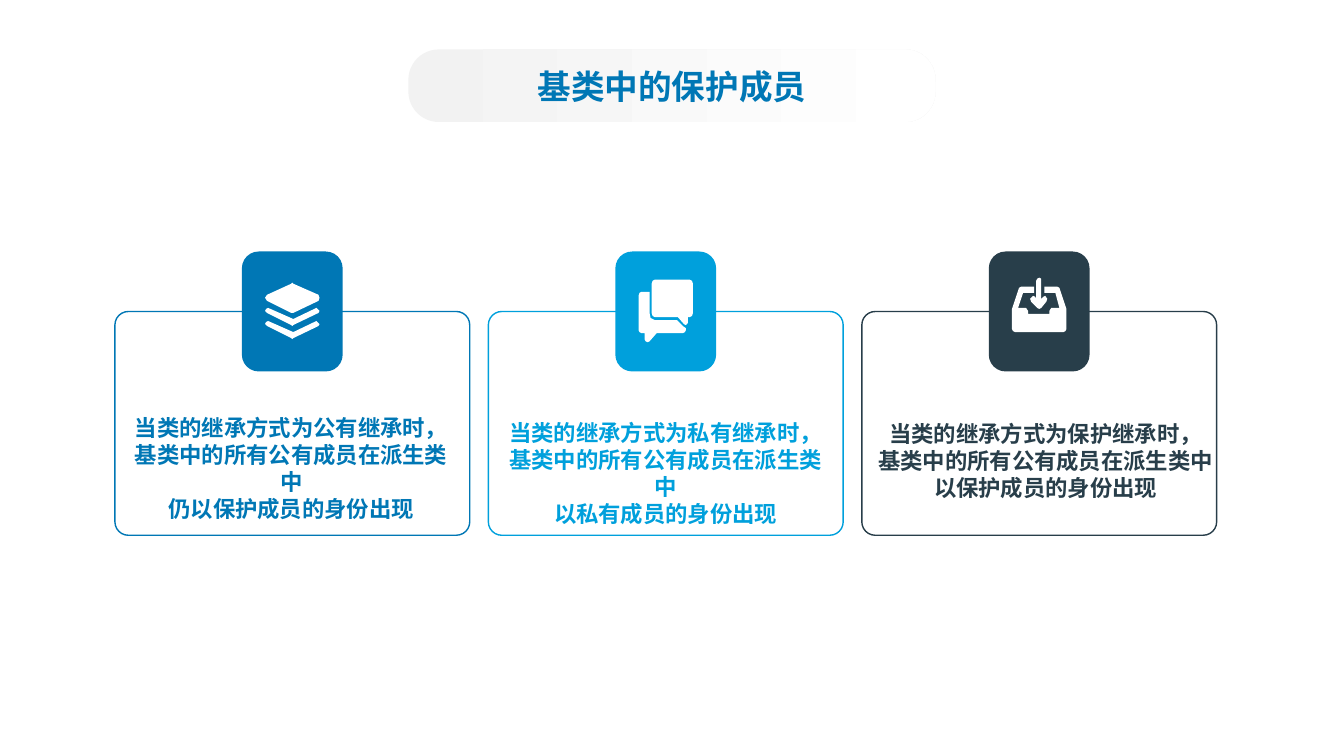
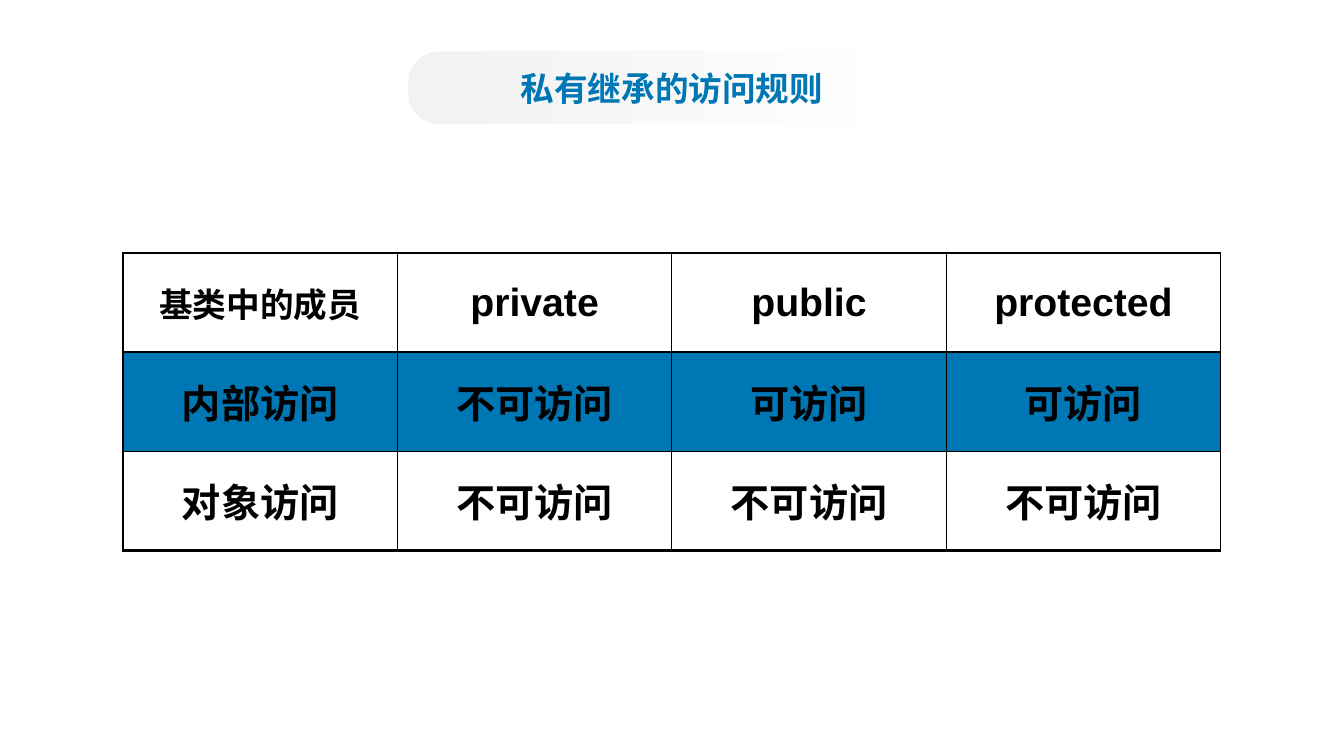
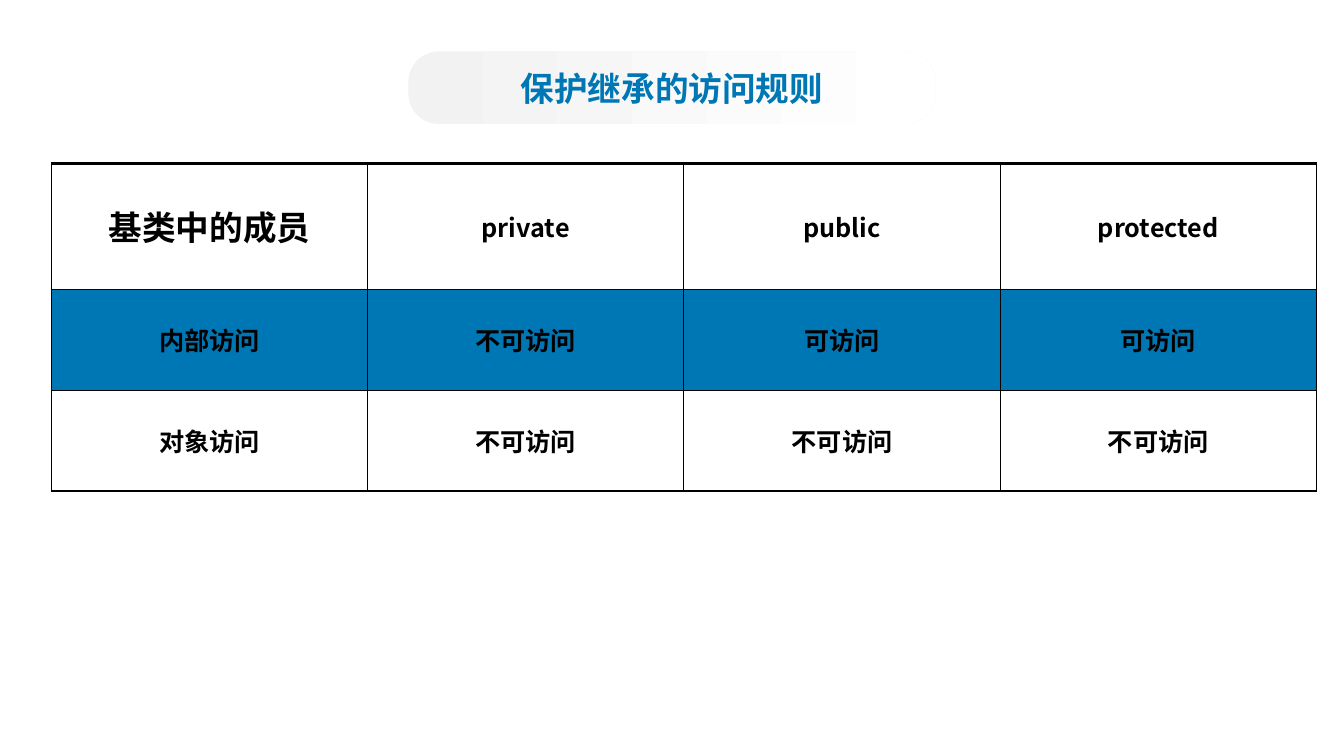
from dataclasses import dataclass

from lxml import etree
from pptx import Presentation
from pptx.dml.color import RGBColor
from pptx.enum.shapes import MSO_SHAPE
from pptx.enum.text import MSO_ANCHOR, PP_ALIGN
from pptx.oxml.ns import qn
from pptx.util import Inches, Pt

ROUNDED = MSO_SHAPE.ROUNDED_RECTANGLE
CENTER = PP_ALIGN.CENTER
TOP = MSO_ANCHOR.TOP
MIDDLE = MSO_ANCHOR.MIDDLE

COLUMNS, ROWS = 160, 90
UNIT = Inches(7.5) / ROWS
ICON_UNIT = 0.12
CJK_FONT = "Noto Sans CJK SC"
LATIN_FONT = "Arial"
COLORS = {
    "blue": "0077B5",
    "sky": "00A0DC",
    "slate": "283E4A",
    "black": "000000",
    "white": "FFFFFF",
    "band": "F2F2F2",
}


@dataclass
class Box:
    left: float
    top: float
    width: float
    height: float

    def inner(self, left, top, width, height):
        return Box(self.left + left, self.top + top, width, height)

    def emu(self):
        return [round(value * UNIT) for value in (self.left, self.top, self.width, self.height)]


def chevron(top):
    return [(3, top), (28, top + 11), (51, top), (54, top + 3), (53, top + 5), (28, top + 17),
            (27, top + 18), (26, top + 17), (2, top + 5), (0, top + 3), (1, top + 1)]


ICONS = {
    "layers": [
        [(53, 18), (28, 30), (26, 30), (2, 18), (0, 15), (2, 12), (26, 1), (27, 0),
         (28, 1), (53, 12), (54, 15)],
        chevron(25),
        chevron(38),
    ],
    "chat": [
        [(51, 37), (49, 37), (49, 43), (47, 45), (45, 44), (39, 37), (16, 37), (14, 36),
         (13, 33), (13, 4), (14, 1), (16, 0), (51, 0), (53, 1), (54, 4), (54, 33), (53, 36)],
        [(38, 40), (44, 46), (47, 48), (47, 50), (46, 52), (44, 53), (18, 53), (11, 61),
         (9, 62), (7, 61), (6, 59), (6, 53), (3, 53), (1, 52), (0, 50), (0, 16), (1, 13),
         (3, 12), (11, 12), (11, 33), (12, 38), (16, 40)],
    ],
    "inbox": [
        [(51, 54), (3, 54), (1, 53), (0, 51), (0, 31), (7, 10), (9, 9), (22, 9), (22, 15),
         (11, 15), (6, 30), (14, 30), (16, 33), (16, 36), (37, 36), (37, 33), (39, 30),
         (47, 30), (43, 15), (32, 15), (32, 9), (45, 9), (47, 10), (54, 31), (54, 51), (53, 53)],
        [(35, 21), (34, 24), (29, 30), (27, 31), (25, 30), (19, 24), (18, 21), (21, 18),
         (23, 19), (24, 21), (24, 3), (25, 1), (27, 0), (29, 1), (29, 21), (31, 19), (33, 18)],
    ],
}

CARDS = [
    {"color": "blue", "icon": "layers", "icon_top": 3.72, "text_box": (1.8, 12.24, 38.4, 13),
     "lines": ["当类的继承方式为公有继承时，", "基类中的所有公有成员在派生类中", "仍以保护成员的身份出现"]},
    {"color": "sky", "icon": "chat", "icon_top": 3.36, "text_box": (1.92, 12.84, 38.4, 13),
     "lines": ["当类的继承方式为私有继承时，", "基类中的所有公有成员在派生类中", "以私有成员的身份出现"]},
    {"color": "slate", "icon": "inbox", "icon_top": 3.12, "text_box": (1.92, 12.96, 39.96, 13),
     "lines": ["当类的继承方式为保护继承时，", "基类中的所有公有成员在派生类中", "以保护成员的身份出现"]},
]

ACCESS_RULES = [
    ["基类中的成员", "private", "public", "protected"],
    ["内部访问", "不可访问", "可访问", "可访问"],
    ["对象访问", "不可访问", "不可访问", "不可访问"],
]


def rgb(name):
    return RGBColor.from_string(COLORS[name])


def write_text(frame, lines, size, color, font=LATIN_FONT):
    for index, line in enumerate(lines):
        paragraph = frame.paragraphs[0] if index == 0 else frame.add_paragraph()
        paragraph.alignment = CENTER
        run = paragraph.add_run()
        run.text = line
        run.font.size = Pt(size)
        run.font.bold = True
        run.font.name = font
        run.font.color.rgb = rgb(color)
        east_asian = etree.SubElement(run.font._element, qn("a:ea"))
        east_asian.set("typeface", CJK_FONT)


def add_rounded(slide, box, fill=None, line=None, corner=None):
    shape = slide.shapes.add_shape(ROUNDED, *box.emu())
    shape.shadow.inherit = False
    if corner is not None:
        shape.adjustments[0] = corner
    if fill:
        shape.fill.solid()
        shape.fill.fore_color.rgb = rgb(fill)
    else:
        shape.fill.background()
    if line:
        shape.line.color.rgb = rgb(line)
        shape.line.width = Pt(1)
    else:
        shape.line.fill.background()
    return shape


def add_title(slide, text, top):
    width = 62.76
    band = add_rounded(slide, Box((COLUMNS - width) / 2, top, width, 8.64), corner=0.42)
    band.fill.gradient()
    band.fill.gradient_angle = 0
    for stop, color, position in zip(band.fill.gradient_stops, ("band", "white"), (0, 0.99)):
        stop.color.rgb = rgb(color)
        stop.position = position
    band.text_frame.vertical_anchor = MIDDLE
    write_text(band.text_frame, [text], size=24, color="blue", font=CJK_FONT)


def add_icon(slide, box, outlines):
    builder = slide.shapes.build_freeform(*outlines[0][0], scale=UNIT * ICON_UNIT)
    builder.add_line_segments(outlines[0][1:], close=True)
    for outline in outlines[1:]:
        builder.move_to(*outline[0])
        builder.add_line_segments(outline[1:], close=True)
    left, top = box.emu()[:2]
    icon = builder.convert_to_shape(left, top)
    icon.shadow.inherit = False
    icon.fill.solid()
    icon.fill.fore_color.rgb = rgb("white")
    icon.line.fill.background()


def add_card(slide, box, card):
    add_rounded(slide, box, line=card["color"], corner=0.06)
    tile_width, tile_height = 12, 14.28
    tile = box.inner((box.width - tile_width) / 2, -tile_height / 2, tile_width, tile_height)
    add_rounded(slide, tile, fill=card["color"])
    add_icon(slide, tile.inner(2.76, card["icon_top"], 6.48, 7), ICONS[card["icon"]])
    text_box = slide.shapes.add_textbox(*box.inner(*card["text_box"]).emu())
    frame = text_box.text_frame
    frame.word_wrap = False
    frame.vertical_anchor = TOP
    frame.margin_left = frame.margin_right = frame.margin_top = frame.margin_bottom = 0
    write_text(frame, card["lines"], size=16, color=card["color"])


def set_borders(cell, **widths):
    properties = cell._tc.get_or_add_tcPr()
    for index, side in enumerate(("L", "R", "T", "B")):
        line = etree.Element(qn(f"a:ln{side}"), w=str(Pt(widths.get(side, 1))))
        fill = etree.SubElement(line, qn("a:solidFill"))
        etree.SubElement(fill, qn("a:srgbClr"), val=COLORS["black"])
        properties.insert(index, line)


def add_rules_table(slide, box, row_heights, size, font):
    row_count, column_count = len(ACCESS_RULES), len(ACCESS_RULES[0])
    table = slide.shapes.add_table(row_count, column_count, *box.emu()).table
    table.first_row = table.horz_banding = False
    for column in table.columns:
        column.width = round(box.width / column_count * UNIT)
    for row_index, (texts, height) in enumerate(zip(ACCESS_RULES, row_heights)):
        table.rows[row_index].height = round(height * UNIT)
        for column_index, text in enumerate(texts):
            cell = table.cell(row_index, column_index)
            cell.vertical_anchor = MIDDLE
            if row_index == 1:
                cell.fill.solid()
                cell.fill.fore_color.rgb = rgb("blue")
            else:
                cell.fill.background()
            set_borders(cell, T=2.25 if row_index == 0 else 1,
                        B=2.25 if row_index == row_count - 1 else 1)
            is_corner = row_index == column_index == 0
            write_text(cell.text_frame, [text], size=24 if is_corner else size,
                       color="black", font=font)


def add_cards_slide(slide, title):
    first = Box(13.68, 37.08, 42.24, 26.64)
    gap = 2.22
    for index, card in enumerate(CARDS):
        box = first.inner(index * (first.width + gap), 0, first.width, first.height)
        add_card(slide, box, card)
    add_title(slide, title, top=5.88)


def add_table_slide(slide, title, left, top, width, row_heights, size, font):
    add_title(slide, title, top=6.12)
    box = Box(left, top, width, sum(row_heights))
    add_rules_table(slide, box, row_heights, size, font)


def main():
    presentation = Presentation()
    presentation.slide_width = round(COLUMNS * UNIT)
    presentation.slide_height = round(ROWS * UNIT)
    blank = presentation.slide_layouts[6]
    add_cards_slide(presentation.slides.add_slide(blank), "基类中的保护成员")
    add_table_slide(presentation.slides.add_slide(blank), "私有继承的访问规则",
                    left=14.64, top=30.12, width=130.68, row_heights=(11.8, 11.8, 11.8),
                    size=28, font=LATIN_FONT)
    add_table_slide(presentation.slides.add_slide(blank), "保护继承的访问规则",
                    left=6.12, top=19.44, width=150.6, row_heights=(15, 12, 12),
                    size=18, font=CJK_FONT)
    presentation.save("out.pptx")


if __name__ == "__main__":
    main()
